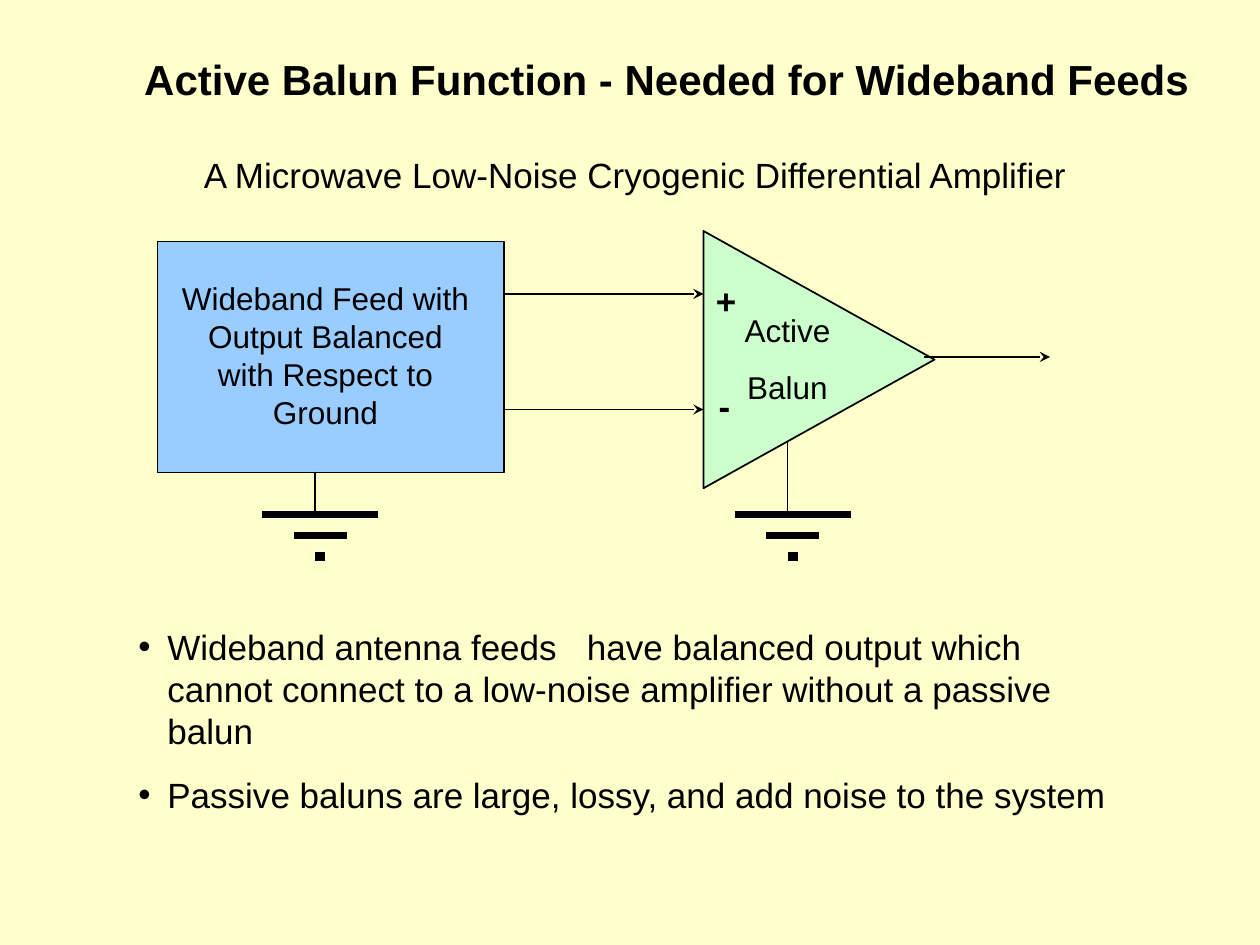
import pptx
import pptx.dml.color
import pptx.enum.dml
import pptx.enum.shapes
import pptx.enum.text
import pptx.oxml
import pptx.oxml.ns
import pptx.util

RGBColor = pptx.dml.color.RGBColor
ALIGN = pptx.enum.text.PP_ALIGN
ANCHOR = pptx.enum.text.MSO_ANCHOR
SHAPE = pptx.enum.shapes.MSO_SHAPE

CREAM = RGBColor(0xFF, 0xFF, 0xCC)
BLUE = RGBColor(0x99, 0xCC, 0xFF)
GREEN = RGBColor(0xCC, 0xFF, 0xCC)
BLACK = RGBColor(0, 0, 0)

COLUMNS, ROWS = 120, 90


def add_element(parent, tag, **attributes):
    element = pptx.oxml.parse_xml(f"<{tag} {pptx.oxml.ns.nsdecls('a')}/>")
    for key, value in attributes.items():
        element.set(key, str(value))
    parent.append(element)
    return element


def write_text(paragraph, text, size=18, bold=False, align=ALIGN.CENTER, before=0,
               bullet=False, tab=None):
    paragraph.alignment = align
    paragraph.space_before = pptx.util.Pt(before)
    properties = paragraph._p.get_or_add_pPr()
    if bullet:
        indent = pptx.util.Inches(0.23)
        properties.set("marL", str(indent))
        properties.set("indent", str(-indent))
        add_element(properties, "a:buFont", typeface="Arial")
        add_element(properties, "a:buChar", char="•")
    if tab:
        stops = add_element(properties, "a:tabLst")
        add_element(stops, "a:tab", pos=pptx.util.Inches(tab), algn="l")
    run = paragraph.add_run()
    run.text = text
    run.font.name = "Arial"
    run.font.size = pptx.util.Pt(size)
    run.font.bold = bold
    run.font.color.rgb = BLACK


class Diagram:
    def __init__(self, presentation):
        self.cell_width = presentation.slide_width / COLUMNS
        self.cell_height = presentation.slide_height / ROWS
        self.slide = presentation.slides.add_slide(presentation.slide_layouts[6])
        self.slide.background.fill.solid()
        self.slide.background.fill.fore_color.rgb = CREAM

    def place(self, column, row, columns, rows):
        return (round(column * self.cell_width), round(row * self.cell_height),
                round(columns * self.cell_width), round(rows * self.cell_height))

    def block(self, kind, area, color, rotation=0):
        shape = self.slide.shapes.add_shape(kind, *self.place(*area))
        shape.shadow.inherit = False
        shape.fill.solid()
        shape.fill.fore_color.rgb = color
        shape.line.color.rgb = BLACK
        shape.line.width = pptx.util.Pt(1)
        shape.rotation = rotation
        return shape

    def label(self, area, *lines, color=None, anchor=ANCHOR.TOP, gap=0, tabs=(), **style):
        box = self.slide.shapes.add_textbox(*self.place(*area))
        if color is not None:
            box.fill.solid()
            box.fill.fore_color.rgb = color
        frame = box.text_frame
        frame.word_wrap = True
        frame.vertical_anchor = anchor
        for index, line in enumerate(lines):
            paragraph = frame.add_paragraph() if index else frame.paragraphs[0]
            tab = tabs[index] if index < len(tabs) else None
            write_text(paragraph, line, before=gap if index else 0, tab=tab, **style)

    def line(self, start, end, width=1, arrow=False):
        connector = self.slide.shapes.add_connector(
            pptx.enum.shapes.MSO_CONNECTOR.STRAIGHT,
            *self.place(*start, *end))
        connector.line.color.rgb = BLACK
        connector.line.width = pptx.util.Pt(width)
        if arrow:
            add_element(connector.line._get_or_add_ln(), "a:tailEnd", type="stealth")
        add_element(connector._element.spPr, "a:effectLst")

    def ground(self, column, top):
        self.line((column, top), (column, 49))
        for row, left, right, width in ((49, 5, 6, 4), (51, 2, 3, 4), (53, 0, 1, 5)):
            self.line((column - left, row), (column + right, row), width)


def main():
    presentation = pptx.Presentation()
    presentation.slide_width = pptx.util.Inches(10)
    presentation.slide_height = pptx.util.Inches(7.5)
    diagram = Diagram(presentation)

    diagram.label((7, 4, 113, 7), "Active Balun Function - Needed for Wideband Feeds",
                  size=24, bold=True, anchor=ANCHOR.MIDDLE)
    diagram.label((13, 14, 95, 5.2),
                  "A Microwave Low-Noise Cryogenic Differential Amplifier", size=20)

    amplifier = diagram.block(SHAPE.ISOSCELES_TRIANGLE, (65.75, 23.25, 24.5, 22), GREEN, 90)
    amplifier.adjustments[0] = 0.5
    diagram.block(SHAPE.RECTANGLE, (15, 23, 33, 22), BLUE)
    diagram.label((16, 26, 30, 15.6),
                  "Wideband Feed with Output Balanced with Respect to Ground", color=BLUE)
    diagram.label((69, 29, 12, 10.2), "Active", "Balun", gap=11.2)

    for sign, sign_row, arrow_row in (("+", 26, 28), ("-", 36, 39)):
        diagram.label((67, sign_row, 4, 5.2), sign, size=20, bold=True)
        diagram.line((48, arrow_row), (67, arrow_row), arrow=True)
    diagram.line((88, 34), (100, 34), arrow=True)

    for column, top in ((30, 45), (75, 42)):
        diagram.ground(column, top)

    diagram.label((12, 59, 97, 15.2),
                  "Wideband antenna feeds\thave balanced output which cannot connect "
                  "to a low-noise amplifier without a passive balun",
                  "Passive baluns are large, lossy, and add noise to the system",
                  size=20, align=ALIGN.LEFT, gap=12.5, bullet=True, tabs=(3.56,))

    presentation.save("out.pptx")


if __name__ == "__main__":
    main()
